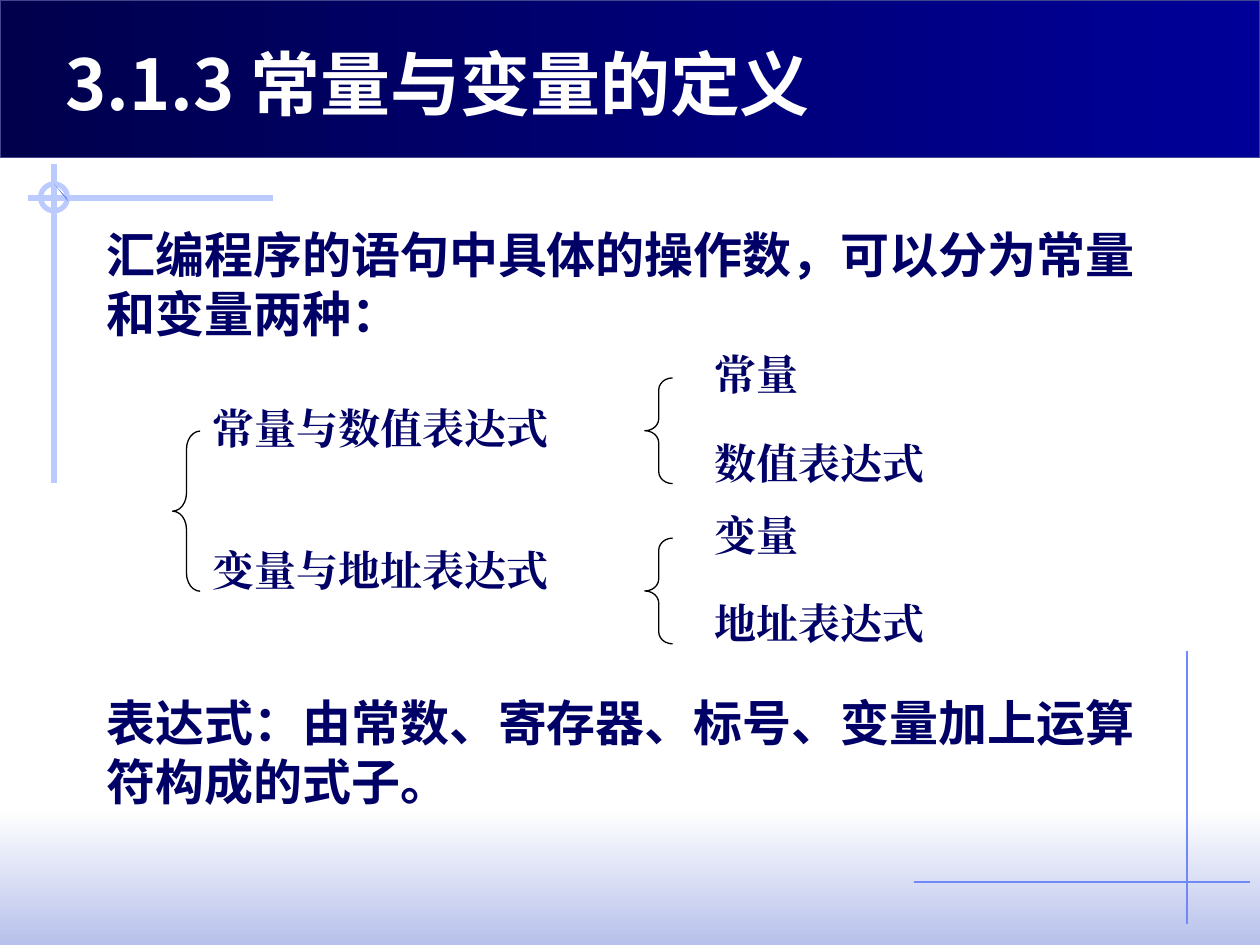
from lxml import etree
from pptx import Presentation
from pptx.dml.color import RGBColor
from pptx.enum.shapes import MSO_CONNECTOR, MSO_SHAPE
from pptx.enum.text import MSO_ANCHOR
from pptx.oxml.ns import qn
from pptx.util import Cm, Pt

RECTANGLE, OVAL, BRACE = MSO_SHAPE.RECTANGLE, MSO_SHAPE.OVAL, MSO_SHAPE.LEFT_BRACE
STRAIGHT = MSO_CONNECTOR.STRAIGHT
TOP, BOTTOM = MSO_ANCHOR.TOP, MSO_ANCHOR.BOTTOM

# Content (lengths in cm)
WIDTH, HEIGHT = 25.4, 19.05
NAVY, WHITE, BLACK, PALE, BLUE = "000066", "FFFFFF", "000000", "BBCBFD", "6F89F7"
SANS, SERIF = "Noto Sans CJK SC", "Times New Roman"
TITLE = "3.1.3 常量与变量的定义"
STATEMENTS = [  # text, top
    ("汇编程序的语句中具体的操作数，可以分为常量和变量两种：", 4.39),
    ("表达式：由常数、寄存器、标号、变量加上运算符构成的式子。", 13.84),
]
BRANCHES = [  # label, label top, brace top, (leaf, leaf width)
    ("常量与数值表达式", 7.98, 7.62, [("常量", 3.38), ("数值表达式", 6.17)]),
    ("变量与地址表达式", 10.85, 10.85, [("变量", 3.94), ("地址表达式", 5.61)]),
]
RULES = [  # from x, from y, to x, to y, colour, points
    (23.93, 13.13, 23.93, 18.63, BLUE, 0.75),
    (18.42, 17.78, 25.2, 17.78, BLUE, 0.75),
    (5.51, 3.99, 0.56, 3.99, PALE, 3),
    (1.09, 3.3, 1.09, 9.73, PALE, 3),
]
LABEL_HEIGHT, LABEL_LEFT, LABEL_WIDTH, LEAF_LEFT = 1.78, 4.04, 8.43, 14.15
BRACE_WIDTH, LEAF_RISE = 0.56, 0.71

presentation = Presentation()
presentation.slide_width, presentation.slide_height = Cm(WIDTH), Cm(HEIGHT)
slide = presentation.slides.add_slide(presentation.slide_layouts[6])
shapes = slide.shapes


def color(value):
    return RGBColor.from_string(value)


def add_shape(kind, box, fill=None, line=None, points=0.75):
    shape = shapes.add_shape(kind, *map(Cm, box))
    style(shape, fill, line, points)
    return shape


def style(shape, fill, line, points):
    shape.shadow.inherit = False
    if fill is None:
        shape.fill.background()
    elif isinstance(fill, tuple):
        start, end, angle = fill
        shape.fill.gradient()
        shape.fill.gradient_angle = angle
        for stop, value in zip(shape.fill.gradient_stops, (start, end)):
            stop.color.rgb = color(value)
    else:
        shape.fill.solid()
        shape.fill.fore_color.rgb = color(fill)
    if line:
        shape.line.color.rgb = color(line)
        shape.line.width = Pt(points)
    else:
        shape.line.fill.background()


def add_text(box, text, size, font, value, fill=None, anchor=TOP, spacing=None):
    text_box = shapes.add_textbox(*map(Cm, box))
    if fill:
        text_box.fill.solid()
        text_box.fill.fore_color.rgb = color(fill)
    frame = text_box.text_frame
    frame.word_wrap = True
    frame.vertical_anchor = anchor
    paragraph = frame.paragraphs[0]
    paragraph.text = text
    if spacing:
        paragraph.line_spacing = Pt(spacing)
    paragraph.font.size, paragraph.font.bold = Pt(size), True
    paragraph.font.name = font
    paragraph.font.color.rgb = color(value)
    # East Asian text takes its typeface from a:ea
    properties = paragraph._p.pPr.find(qn("a:defRPr"))
    etree.SubElement(properties, qn("a:ea"), typeface=font)


def add_brace(left, top, height, curve):
    brace = add_shape(BRACE, (left, top, BRACE_WIDTH, height), line=BLACK)
    brace.adjustments[0] = curve


# Background bands
add_shape(RECTANGLE, (0, 16.31, WIDTH, HEIGHT - 16.31), (WHITE, "B7C1EB", 270))
add_shape(RECTANGLE, (0, 0, WIDTH, 3.17), ("00004D", "000099", 0), "40458C")

# Crossing rules with a ring
for x1, y1, x2, y2, value, points in RULES:
    rule = shapes.add_connector(STRAIGHT, Cm(x1), Cm(y1), Cm(x2), Cm(y2))
    rule.line.color.rgb = color(value)
    rule.line.width = Pt(points)
    etree.SubElement(rule._element.spPr, qn("a:effectLst"))
add_shape(OVAL, (0.82, 3.71, 0.54, 0.54), line=PALE, points=3)
builder = shapes.build_freeform(Cm(1.09), Cm(3.71))
builder.add_line_segments([(Cm(1.35), Cm(3.99)), (Cm(1.37), Cm(4.06))])
style(builder.convert_to_shape(), BLUE, None, 0)

# Title and statements
add_text((1.07, 0.3, 21.59, 2.34), TITLE, 40, "Noto Sans CJK JP", WHITE, anchor=BOTTOM)
for text, top in STATEMENTS:
    add_text((1.9, top, 21.67, 2.6), text, 28, SANS, NAVY, spacing=33.7)

# Tree of operands
add_brace(3.48, 8.69, 3.23, 0.65)
for label, label_top, brace_top, leaves in BRANCHES:
    add_brace(13, brace_top, 2.13, 0.43)
    add_text((LABEL_LEFT, label_top, LABEL_WIDTH, LABEL_HEIGHT), label, 24, SERIF, NAVY, WHITE)
    for row, (leaf, width) in enumerate(leaves):
        top = brace_top - LEAF_RISE + row * LABEL_HEIGHT
        add_text((LEAF_LEFT, top, width, LABEL_HEIGHT), leaf, 24, SERIF, NAVY, WHITE)

presentation.save("out.pptx")
